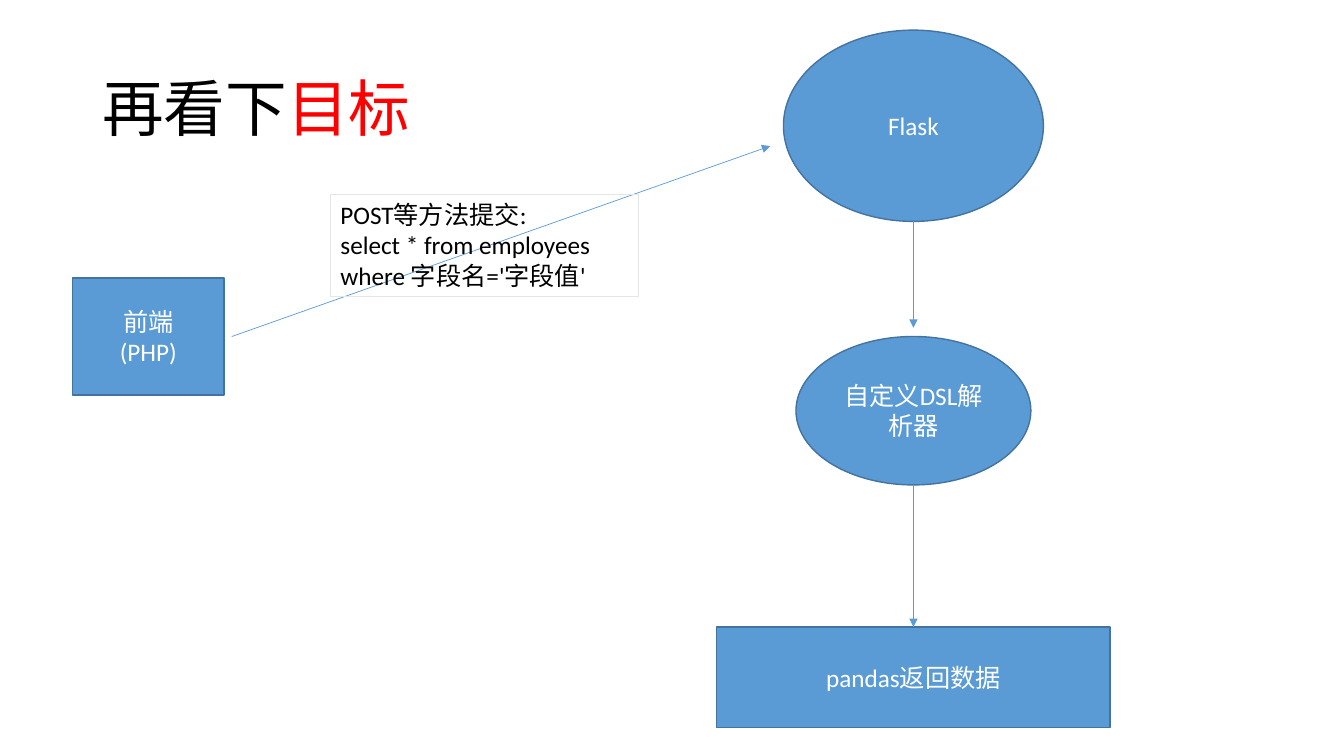
from pptx import Presentation
from pptx import util as u
from pptx.dml.color import RGBColor
from pptx.enum import shapes, text
from pptx.oxml.ns import qn
from lxml import etree

# Content: lengths in cm
SIZE = (33.87, 19.05)
TITLE = [("再看下", "black"), ("目标", "red")]
TITLE_BOX = (2.33, 0.97, 29.21, 3.68)
MID = 23.02  # centre line of the right-hand column
# name: (kind, centre x, top, width, height, lines)
NODES = {
    "flask": ("OVAL", MID, 0.76, 6.55, 4.82, ["Flask"]),
    "front": ("RECTANGLE", 3.74, 7.01, 3.81, 2.95, ["前端", "(PHP)"]),
    "parser": ("OVAL", MID, 8.48, 5.92, 3.74, ["自定义DSL解析器"]),
    "pandas": ("RECTANGLE", MID, 15.8, 9.91, 2.54, ["pandas返回数据"]),
}
# from x, from y, to x, to y, node joined at its top
ARROWS = [
    (5.84, 8.48, 19.41, 3.68, None),
    (MID, 5.58, MID, 8.26, None),
    (MID, 12.22, MID, 15.8, "pandas"),
]
QUERY = ["POST等方法提交:", "select * from employees where 字段名='字段值'"]
QUERY_BOX = (8.33, 4.9, 7.77, 2.57)

THEME = {
    "font": "Calibri", "head": 44, "body": 18,
    "black": "000000", "red": "FF0000", "white": "FFFFFF",
    "fill": "5B9BD5", "edge": "43739E", "pale": "E7E6E6",
}


def paint(name):
    return RGBColor.from_string(THEME[name])


def style(run, size, color):
    run.font.name = THEME["font"]
    run.font.size = u.Pt(THEME[size])
    run.font.color.rgb = paint(color)


def write(frame, lines, color, align):
    frame.word_wrap = True
    frame.text = "\n".join(lines)
    for para in frame.paragraphs:
        para.alignment = align
        for run in para.runs:
            style(run, "body", color)


def add_box(slide, kind, box, edge, width):
    shape = slide.shapes.add_shape(
        getattr(shapes.MSO_SHAPE, kind), *map(u.Cm, box))
    shape.shadow.inherit = False
    shape.line.color.rgb = paint(edge)
    shape.line.width = u.Pt(width)
    return shape


def add_title(slide):
    frame = slide.shapes.add_textbox(*map(u.Cm, TITLE_BOX)).text_frame
    frame.word_wrap = True
    frame.vertical_anchor = text.MSO_ANCHOR.MIDDLE
    para = frame.paragraphs[0]
    para.alignment = text.PP_ALIGN.JUSTIFY
    para.line_spacing = 0.9
    for words, color in TITLE:
        run = para.add_run()
        run.text = words
        style(run, "head", color)


def add_node(slide, kind, mid, top, width, height, lines):
    box = (mid - width / 2, top, width, height)
    shape = add_box(slide, kind, box, "edge", 1)
    shape.fill.solid()
    shape.fill.fore_color.rgb = paint("fill")
    shape.text_frame.vertical_anchor = text.MSO_ANCHOR.MIDDLE
    write(shape.text_frame, lines, "white", text.PP_ALIGN.CENTER)
    return shape


def add_arrow(slide, ends, goal):
    line = slide.shapes.add_connector(
        shapes.MSO_CONNECTOR.STRAIGHT, *map(u.Cm, ends))
    if goal is not None:
        line.end_connect(goal, 0)
    line.line.color.rgb = paint("fill")
    line.line.width = u.Pt(0.5)
    etree.SubElement(line.line._get_or_add_ln(), qn("a:tailEnd"), type="triangle")
    etree.SubElement(line._element.spPr, qn("a:effectLst"))


def add_query(slide):
    shape = add_box(slide, "RECTANGLE", QUERY_BOX, "pale", 0.75)
    shape.fill.background()
    shape.text_frame.vertical_anchor = text.MSO_ANCHOR.TOP
    write(shape.text_frame, QUERY, "black", text.PP_ALIGN.LEFT)
    shape.text_frame.auto_size = text.MSO_AUTO_SIZE.SHAPE_TO_FIT_TEXT


def main():
    deck = Presentation()
    deck.slide_width, deck.slide_height = map(u.Cm, SIZE)
    slide = deck.slides.add_slide(deck.slide_layouts[6])

    add_title(slide)
    nodes = {name: add_node(slide, *node) for name, node in NODES.items()}
    for *ends, goal in ARROWS:
        add_arrow(slide, ends, nodes.get(goal))
    add_query(slide)
    deck.save("out.pptx")


if __name__ == "__main__":
    main()
